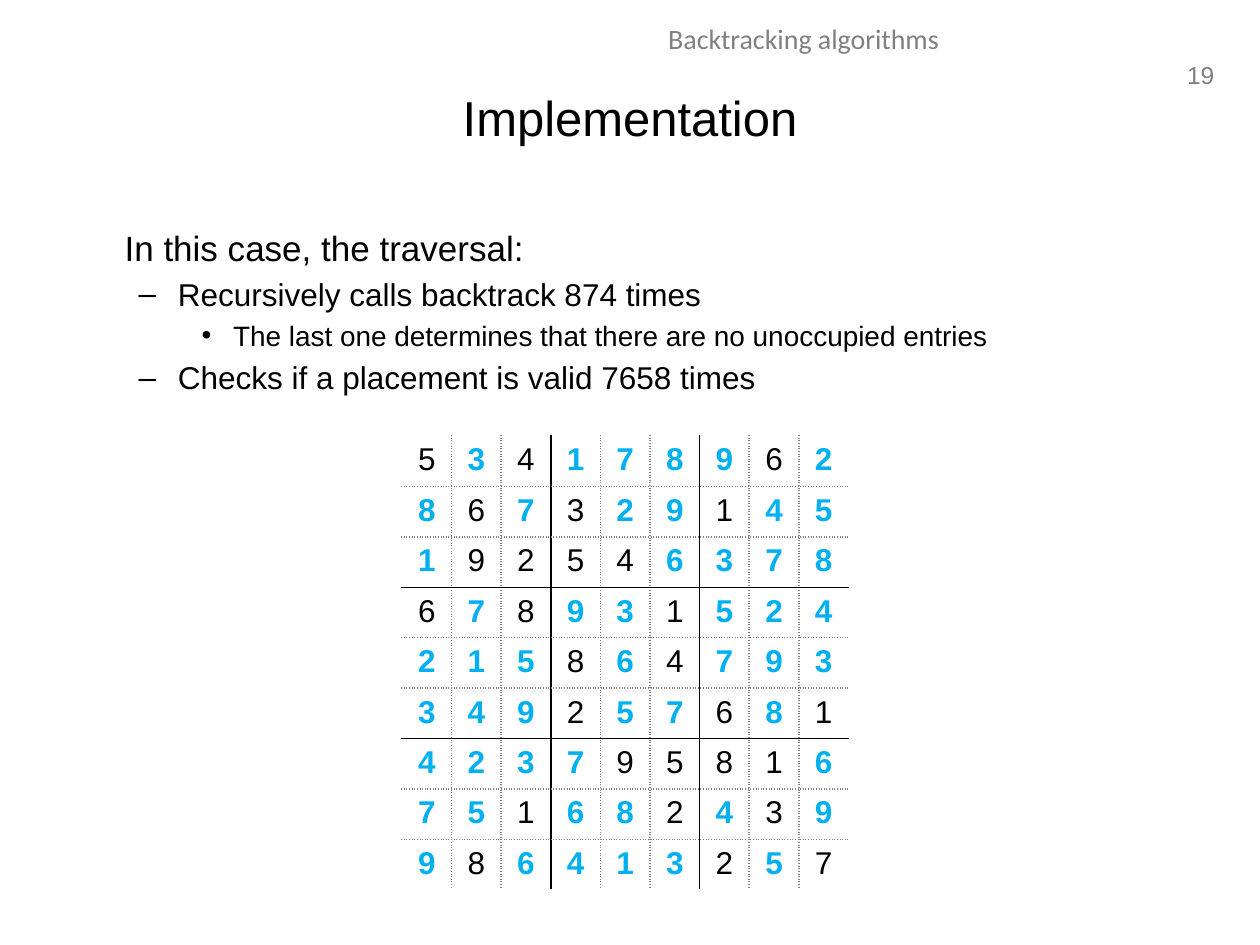
from dataclasses import dataclass
from lxml.etree import SubElement as Sub
from pptx import Presentation as Deck
from pptx.dml.color import RGBColor as Rgb
from pptx.enum.text import MSO_ANCHOR as Anchor, PP_ALIGN as Align
from pptx.oxml import parse_xml
from pptx.oxml.ns import nsdecls, qn
from pptx.slide import Slide
from pptx.util import Pt


@dataclass(frozen=True)
class Theme:
    ink: str = "000000"
    grey: str = "808080"
    blue: str = "00B0F0"
    face: str = "Arial"
    head: str = "Calibri"
    title: int = 28
    body: tuple = (20, 18, 16)
    cell: int = 18
    topic: int = 16
    number: int = 14


LEVELS = ((28, 0, None), (58.5, -22.5, "–"), (90, -18, "•"))

POINTS = (
    (0, "In this case, the traversal:"),
    (1, "Recursively calls backtrack 874 times"),
    (2, "The last one determines that there are no unoccupied entries"),
    (1, "Checks if a placement is valid 7658 times"),
)

SOLVED = (
    "534178962", "867329145", "192546378",
    "678931524", "215864793", "349257681",
    "423795816", "751682439", "986413257",
)

GIVEN = (
    "5.4....6.", ".6.3..1..", ".9254....",
    "6.8..1...", "...8.4...", "...2..6.1",
    "....9581.", "..1..2.3.", ".8....2.7",
)


@dataclass
class Page:
    theme: Theme
    slide: Slide

    def place(self, shape, left, top, width, height):
        shape.left, shape.top = Pt(left), Pt(top)
        shape.width, shape.height = Pt(width), Pt(height)

    def style(self, para, size, color, face=None, bold=False):
        for run in para.runs:
            font = run.font
            font.name = face or self.theme.face
            font.size, font.bold = Pt(size), bold
            font.color.rgb = Rgb.from_string(color)

    def label(self, text, box, size, align, face=None):
        shape = self.slide.shapes.add_textbox(*map(Pt, box))
        frame = shape.text_frame
        frame.word_wrap = True
        frame.text = text
        para = frame.paragraphs[0]
        para.alignment = align
        self.style(para, size, self.theme.grey, face)

    def title(self, text, box):
        shape = self.slide.shapes.title
        self.place(shape, *box)
        frame = shape.text_frame
        frame.text = text
        frame.vertical_anchor = Anchor.MIDDLE
        para = frame.paragraphs[0]
        para.alignment = Align.CENTER
        self.style(para, self.theme.title, self.theme.ink)

    def points(self, items, box):
        shape = self.slide.placeholders[1]
        self.place(shape, *box)
        frame = shape.text_frame
        frame.text = "\n".join(text for _, text in items)
        for para, (level, _) in zip(frame.paragraphs, items):
            margin, indent, mark = LEVELS[level]
            para.level = level
            props = para._p.get_or_add_pPr()
            props.set("marL", str(Pt(margin)))
            props.set("indent", str(Pt(indent)))
            if mark:
                Sub(props, qn("a:buChar"), char=mark)
            else:
                Sub(props, qn("a:buNone"))
            self.style(para, self.theme.body[level], self.theme.ink)
        frame.paragraphs[0].space_before = Pt(0)

    def edge(self, cell, side, solid):
        color, dash = (self.theme.ink, "solid") if solid else (self.theme.grey, "sysDot")
        return parse_xml(
            f'<a:ln{side} {nsdecls("a")} w="{Pt(1)}"><a:solidFill>'
            f'<a:srgbClr val="{color}"/></a:solidFill>'
            f'<a:prstDash val="{dash}"/></a:ln{side}>'
        )

    def frame(self, cell, row, col, count):
        lines = (("L", col), ("R", col + 1), ("T", row), ("B", row + 1))
        inner = [(side, at) for side, at in lines if 0 < at < count]
        props = cell._tc.get_or_add_tcPr()
        for spot, (side, at) in enumerate(inner):
            props.insert(spot, self.edge(cell, side, at % 3 == 0))

    def grid(self, rows, given, left, top, step):
        count = len(rows)
        side = Pt(step * count)
        table = self.slide.shapes.add_table(
            count, count, Pt(left), Pt(top), side, side).table
        table.first_row = table.horz_banding = False
        for line in (*table.rows, ):
            line.height = Pt(step)
        for line in table.columns:
            line.width = Pt(step)
        for row, digits in enumerate(rows):
            for col, digit in enumerate(digits):
                cell = table.cell(row, col)
                cell.text = digit
                cell.fill.background()
                found = given[row][col] == "."
                para = cell.text_frame.paragraphs[0]
                para.alignment = Align.CENTER
                color = self.theme.blue if found else self.theme.ink
                self.style(para, self.theme.cell, color, bold=found)
                self.frame(cell, row, col, count)


def main():
    deck = Deck()
    deck.slide_width, deck.slide_height = Pt(720), Pt(540)
    theme = Theme()
    page = Page(theme, deck.slides.add_slide(deck.slide_layouts[1]))
    page.label("19", (669, 30.5, 32, 24), theme.number, Align.RIGHT)
    page.label("Backtracking algorithms", (229.5, 8.5, 459.5, 29),
               theme.topic, Align.CENTER, theme.head)
    page.title("Implementation", (36, 21.6, 648, 90))
    page.points(POINTS, (36, 126, 648, 356.4))
    page.grid(SOLVED, GIVEN, 229.7, 249.1, 28.35)
    deck.save("out.pptx")


if __name__ == "__main__":
    main()
